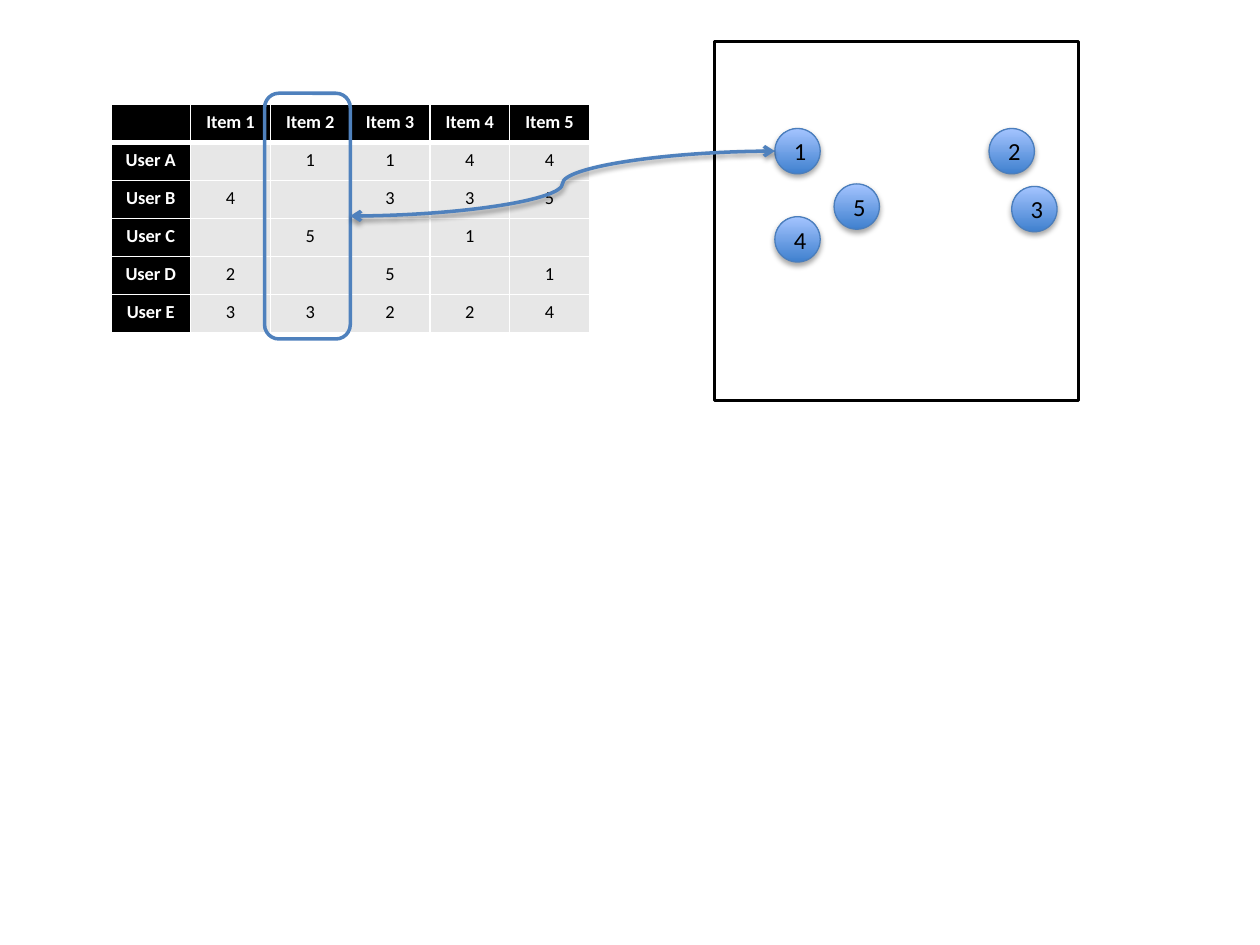
from lxml.etree import SubElement
from pptx import Presentation
from pptx.dml.color import RGBColor
from pptx.enum.shapes import MSO_CONNECTOR, MSO_SHAPE
from pptx.enum.text import MSO_ANCHOR, PP_ALIGN
from pptx.oxml import parse_xml
from pptx.oxml.ns import nsdecls, qn
from pptx.util import Inches, Pt

BLACK = RGBColor(0x00, 0x00, 0x00)
WHITE = RGBColor(0xFF, 0xFF, 0xFF)
GREY = RGBColor(0xE7, 0xE7, 0xE7)
BLUE = RGBColor(0x4F, 0x81, 0xBD)
RIM = RGBColor(0x4B, 0x7E, 0xBC)
GRADIENT = [RGBColor(0x3F, 0x80, 0xCE), RGBColor(0xA4, 0xC4, 0xFF)]
FONT = "Calibri"

RATINGS = [
    ["", "Item 1", "Item 2", "Item 3", "Item 4", "Item 5"],
    ["User A", "", "1", "1", "4", "4"],
    ["User B", "4", "", "3", "3", "5"],
    ["User C", "", "5", "", "1", ""],
    ["User D", "2", "", "5", "", "1"],
    ["User E", "3", "3", "2", "2", "4"],
]
TABLE = (0.88, 0.83, 3.8, 1.81)
HIGHLIGHT = (2.1, 0.74, 0.68, 1.95)
ITEM_SPACE = (5.67, 0.33, 2.89, 2.85)
DIAMETER = 0.36
ITEMS = [("1", 6.15, 1.02), ("4", 6.15, 1.72), ("5", 6.62, 1.46),
         ("2", 7.85, 1.02), ("3", 8.03, 1.48)]


def style_text(p, size, color, bold=False):
    p.alignment = PP_ALIGN.CENTER
    p.font.name, p.font.size = FONT, Pt(size)
    p.font.color.rgb, p.font.bold = color, bold


def set_borders(cell, widths):
    """Draw white borders; widths are points for left, right, top, bottom."""
    tcPr = cell._tc.get_or_add_tcPr()
    for i, (side, width) in enumerate(zip("LRTB", widths)):
        tcPr.insert(i, parse_xml(
            f'<a:ln{side} {nsdecls("a")} w="{Pt(width)}"><a:solidFill>'
            f'<a:srgbClr val="{WHITE}"/></a:solidFill></a:ln{side}>'))


def add_shadow(spPr, alpha, distance):
    for old in spPr.findall(qn("a:effectLst")):
        spPr.remove(old)
    spPr.append(parse_xml(
        f'<a:effectLst {nsdecls("a")}><a:outerShdw blurRad="{Pt(3.1)}" '
        f'dist="{Pt(distance)}" dir="5400000" rotWithShape="0">'
        f'<a:srgbClr val="{BLACK}"><a:alpha val="{alpha * 1000}"/></a:srgbClr>'
        '</a:outerShdw></a:effectLst>'))


def add_outline(shapes, kind, box, color, width):
    s = shapes.add_shape(kind, *map(Inches, box))
    s.shadow.inherit = False
    s.line.color.rgb, s.line.width = color, Pt(width)
    return s


def add_ratings(shapes):
    n_rows, n_cols = len(RATINGS), len(RATINGS[0])
    table = shapes.add_table(n_rows, n_cols, *map(Inches, TABLE)).table
    for r, row in enumerate(RATINGS):
        for c, text in enumerate(row):
            cell = table.cell(r, c)
            is_header = r == 0 or c == 0
            cell.text = text
            cell.fill.solid()
            cell.fill.fore_color.rgb = BLACK if is_header else GREY
            p = cell.text_frame.paragraphs[0]
            style_text(p, 10.5, WHITE if is_header else BLACK, is_header)
            if not text:  # keeps an empty cell from stretching its row
                p._p.get_or_add_endParaRPr().set("sz", "1050")
            set_borders(cell, (1, 1, 3 if r == 1 else 1, 3 if r == 0 else 1))


def add_item(shapes, label, left, top):
    s = add_outline(shapes, MSO_SHAPE.OVAL, (left, top, DIAMETER, DIAMETER),
                    RIM, 0.75)
    s.fill.gradient()
    s.fill.gradient_angle = 90
    for stop, color in zip(s.fill.gradient_stops, GRADIENT):
        stop.color.rgb = color
    add_shadow(s._element.spPr, 35, 1.8)
    tf = s.text_frame
    tf.text = label
    tf.vertical_anchor = MSO_ANCHOR.MIDDLE
    style_text(tf.paragraphs[0], 14, BLACK)


def add_link(shapes):
    left, top, width, height = HIGHLIGHT
    _, item_left, item_top = ITEMS[0]
    link = shapes.add_connector(
        MSO_CONNECTOR.CURVE, Inches(left + width), Inches(top + height / 2),
        Inches(item_left), Inches(item_top + DIAMETER / 2))
    link.line.color.rgb, link.line.width = BLUE, Pt(2)
    ln = link.line._get_or_add_ln()
    for end in ("a:headEnd", "a:tailEnd"):
        SubElement(ln, qn(end), type="arrow")
    add_shadow(link._element.spPr, 38, 1.6)


def main():
    prs = Presentation()
    prs.slide_width, prs.slide_height = Inches(10), Inches(7.5)
    shapes = prs.slides.add_slide(prs.slide_layouts[6]).shapes

    add_ratings(shapes)
    highlight = add_outline(shapes, MSO_SHAPE.ROUNDED_RECTANGLE, HIGHLIGHT,
                            BLUE, 2)
    highlight.fill.background()
    space = add_outline(shapes, MSO_SHAPE.RECTANGLE, ITEM_SPACE, BLACK, 2)
    space.fill.solid()
    space.fill.fore_color.rgb = WHITE
    for item in ITEMS:
        add_item(shapes, *item)
    add_link(shapes)

    prs.save("out.pptx")


if __name__ == "__main__":
    main()
